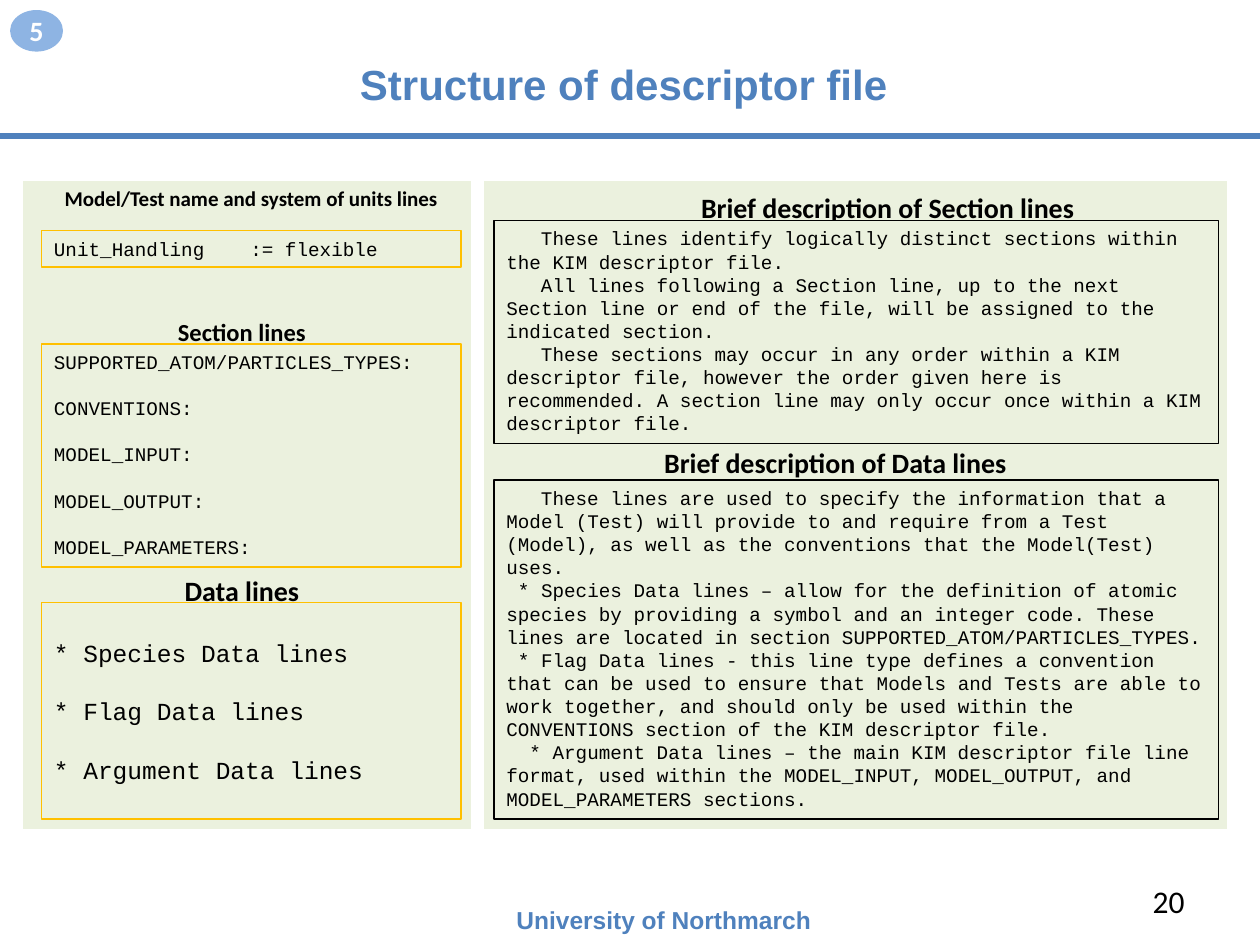
from lxml.etree import SubElement
from pptx import Presentation
from pptx.dml.color import RGBColor
from pptx.enum.shapes import MSO_CONNECTOR, MSO_SHAPE
from pptx.enum.text import MSO_ANCHOR, PP_ALIGN
from pptx.oxml.ns import qn
from pptx.util import Inches, Pt

BLUE, BADGE_BLUE, GREEN = "4F81BD", "8EB4E3", "EBF1DE"
YELLOW, BLACK, WHITE = "FFC000", "000000", "FFFFFF"
CODE_FONT = "Courier New"
CODE_CHARACTER = 0.6 * 11 / 72
LEFT_COLUMN = (0.33, 3.33)
RIGHT_COLUMN = (3.92, 5.75)

PANELS = [(0.17, 1.42, 3.58, 5.17), (3.83, 1.42, 5.92, 5.17)]

HEADINGS = [
    ("Model/Test name and system of units lines", (0.33, 1.42, 3.33, 0.3), 12),
    ("Section lines", (0.92, 2.47, 2, 0.34), 14),
    ("Data lines", (0.92, 4.5, 2, 0.37), 16),
    ("Brief description of Section lines", (5.17, 1.46, 3.75, 0.37), 16),
    ("Brief description of Data lines", (4.42, 3.49, 4.42, 0.37), 16),
]

SECTION_LINES = [
    "SUPPORTED_ATOM/PARTICLES_TYPES:",
    "CONVENTIONS:",
    "MODEL_INPUT:",
    "MODEL_OUTPUT:",
    "MODEL_PARAMETERS:",
]
DATA_LINES = ["* Species Data lines", "* Flag Data lines", "* Argument Data lines"]

SECTION_DESCRIPTION = [
    "These lines identify logically distinct sections within the KIM descriptor file.",
    "All lines following a Section line, up to the next Section line or end of the file, "
    "will be assigned to the indicated section.",
    "These sections may occur in any order within a KIM descriptor file, however the order "
    "given here is recommended. A section line may only occur once within a KIM descriptor file.",
]
DATA_DESCRIPTION = [
    "These lines are used to specify the information that a Model (Test) will provide to and "
    "require from a Test (Model), as well as the conventions that the Model(Test) uses.",
    "* Species Data lines – allow for the definition of atomic species by providing a symbol "
    "and an integer code. These lines are located in section SUPPORTED_ATOM/PARTICLES_TYPES.",
    "* Flag Data lines - this line type defines a convention that can be used to ensure that "
    "Models and Tests are able to work together, and should only be used within the "
    "CONVENTIONS section of the KIM descriptor file.",
    "* Argument Data lines – the main KIM descriptor file line format, used within the "
    "MODEL_INPUT, MODEL_OUTPUT, and MODEL_PARAMETERS sections.",
]


def color(value):
    return RGBColor.from_string(value)


def inches(box):
    return [Inches(length) for length in box]


def write(shape, texts, size, font="Calibri", text_color=BLACK, bold=False,
          align=PP_ALIGN.LEFT, anchor=MSO_ANCHOR.TOP, gap=0, indents=()):
    frame = shape.text_frame
    frame.word_wrap = True
    frame.vertical_anchor = anchor
    for index, text in enumerate(texts):
        paragraph = frame.add_paragraph() if index else frame.paragraphs[0]
        paragraph.alignment = align
        if index and gap:
            paragraph.space_before = Pt(gap)
        if indents:
            indent = Inches(indents[index] * CODE_CHARACTER)
            paragraph._p.get_or_add_pPr().set("indent", str(indent))
        run = paragraph.add_run()
        run.text = text
        run.font.color.rgb = color(text_color)
        values = {"name": font, "size": Pt(size), "bold": bold}
        for name, value in values.items():
            setattr(run.font, name, value)


def add_label(slide, text, box, size, **formats):
    label = slide.shapes.add_textbox(*inches(box))
    write(label, [text], size, **formats)


def add_block(slide, box, fill, line=None, line_width=0.75, kind=MSO_SHAPE.RECTANGLE):
    block = slide.shapes.add_shape(kind, *inches(box))
    block.shadow.inherit = False
    block.fill.solid()
    block.fill.fore_color.rgb = color(fill)
    if line:
        block.line.color.rgb = color(line)
        block.line.width = Pt(line_width)
    else:
        block.line.fill.background()
    return block


def add_code_box(slide, column, top, height, line, texts, size=11, **formats):
    left, width = column
    box = add_block(slide, (left, top, width, height), GREEN, line)
    write(box, texts, size, CODE_FONT, **formats)
    return box


def add_tab_stop(paragraph, position):
    tabs = SubElement(paragraph._p.get_or_add_pPr(), qn("a:tabLst"))
    SubElement(tabs, qn("a:tab"), pos=str(Inches(position)), algn="l")


def add_rule(slide, top):
    rule = slide.shapes.add_connector(MSO_CONNECTOR.STRAIGHT, *inches((0, top, 10, top)))
    rule.line.color.rgb = color(BLUE)
    rule.line.width = Pt(3)
    SubElement(rule._element.spPr, qn("a:effectLst"))


def add_frame(slide):
    add_label(slide, "Structure of descriptor file", (0.45, 0.33, 9, 0.67), 24, font="Arial",
              text_color=BLUE, bold=True, align=PP_ALIGN.CENTER, anchor=MSO_ANCHOR.MIDDLE)
    badge = add_block(slide, (0.08, 0.08, 0.42, 0.33), BADGE_BLUE, kind=MSO_SHAPE.OVAL)
    for side in ("left", "right", "top", "bottom"):
        setattr(badge.text_frame, f"margin_{side}", 0)
    write(badge, ["5"], 16, text_color=WHITE, bold=True,
          align=PP_ALIGN.CENTER, anchor=MSO_ANCHOR.MIDDLE)
    add_rule(slide, 1.08)
    add_label(slide, "University of Northmarch", (4, 7.13, 2.67, 0.34), 14,
              font="Arial", text_color=BLUE, bold=True)
    add_label(slide, "20", (7.17, 6.95, 2.33, 0.4), 18,
              align=PP_ALIGN.RIGHT, anchor=MSO_ANCHOR.MIDDLE)


def main():
    presentation = Presentation()
    presentation.slide_width, presentation.slide_height = Inches(10), Inches(7.5)
    slide = presentation.slides.add_slide(presentation.slide_layouts[6])
    add_frame(slide)
    for panel in PANELS:
        add_block(slide, panel, GREEN, WHITE, 2)
    for text, box, size in HEADINGS:
        add_label(slide, text, box, size, bold=True, align=PP_ALIGN.CENTER)

    units = add_code_box(slide, LEFT_COLUMN, 1.83, 0.29, YELLOW, ["Unit_Handling\t:= flexible"])
    add_tab_stop(units.text_frame.paragraphs[0], 17 * CODE_CHARACTER)
    add_code_box(slide, LEFT_COLUMN, 2.73, 1.77, YELLOW, SECTION_LINES, gap=13.2)
    data = add_code_box(slide, LEFT_COLUMN, 4.78, 1.72, YELLOW, DATA_LINES, 14, gap=16.8)
    data.text_frame.margin_top = Inches(0.28)
    add_code_box(slide, RIGHT_COLUMN, 1.75, 1.77, BLACK, SECTION_DESCRIPTION, indents=(3, 3, 3))
    add_code_box(slide, RIGHT_COLUMN, 3.81, 2.69, BLACK, DATA_DESCRIPTION, indents=(3, 1, 1, 2))
    presentation.save("out.pptx")


if __name__ == "__main__":
    main()
